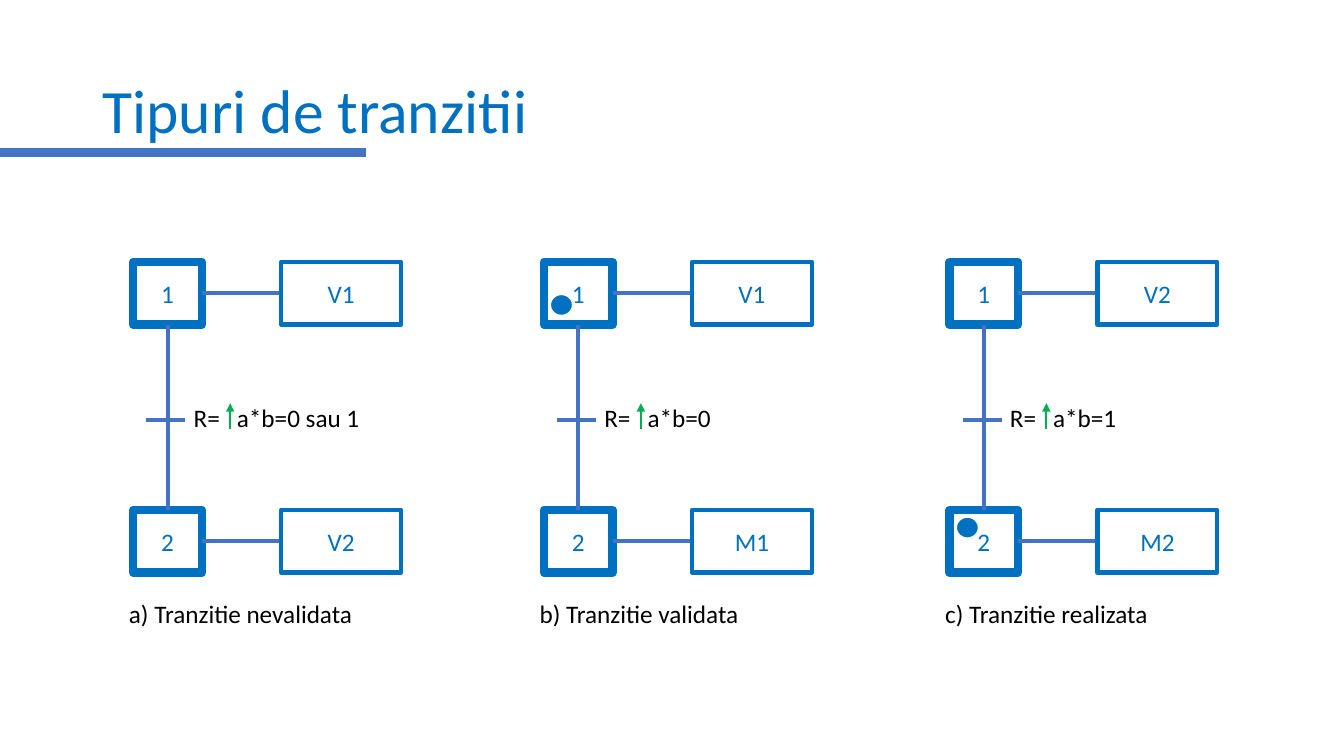
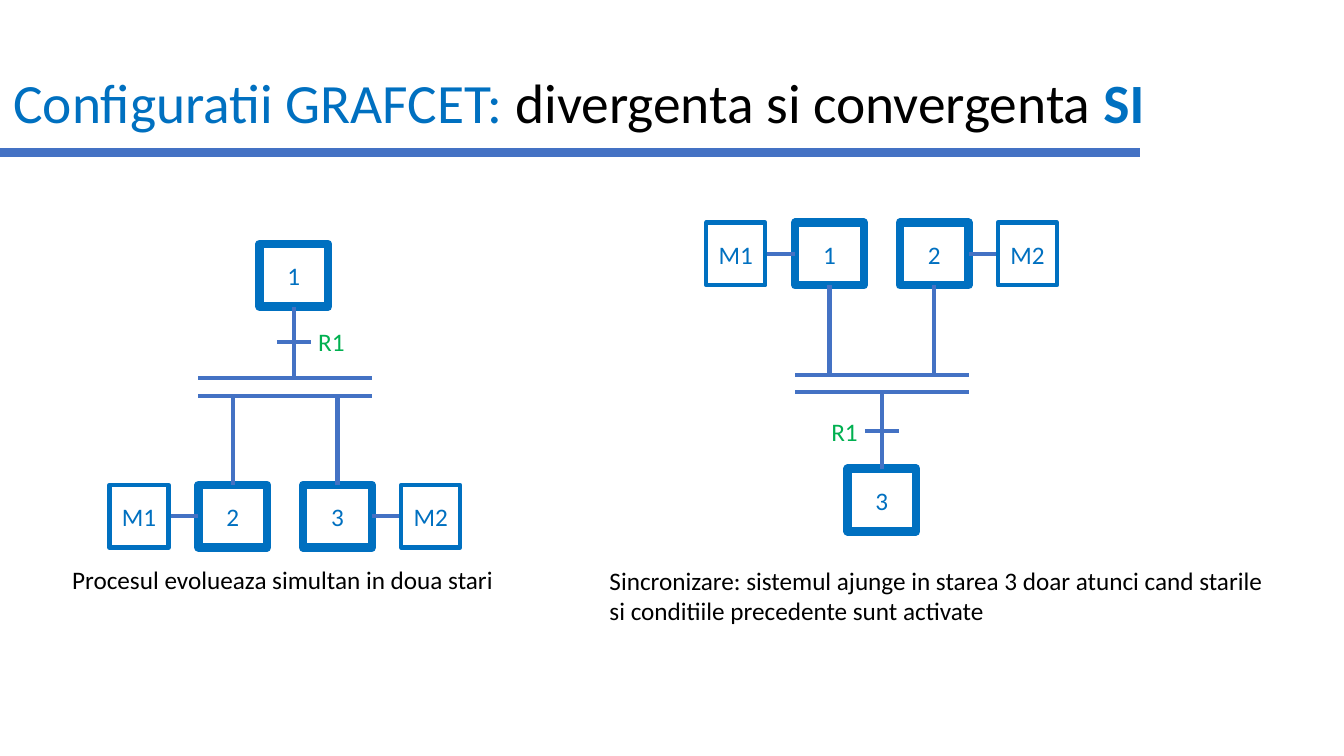
from lxml import etree
from pptx import Presentation
from pptx.dml.color import RGBColor
from pptx.enum import shapes, text
from pptx.oxml import ns
from pptx.util import Cm, Pt

BLUE = RGBColor(0x00, 0x70, 0xC0)
LINK = RGBColor(0x44, 0x72, 0xC4)
GREEN = RGBColor(0x00, 0xB0, 0x50)
BLACK = RGBColor(0, 0, 0)
WHITE = RGBColor(255, 255, 255)
FONT = "Calibri"
TITLE_ONLY = 5
STEP_W, BOX_H = 1.73, 1.58
RULE_Y = 3.84


class Grafcet:
    """Style and current slide for GRAFCET diagrams, in centimetres."""

    def __init__(self, prs):
        """Keep the presentation that receives the slides."""
        self.prs = prs
        self.s = None

    def add_text(self, p, content, color=BLUE, size=18, bold=False):
        """Add one formatted run to a paragraph."""
        r = p.add_run()
        r.text = content
        r.font.name, r.font.size, r.font.bold = FONT, Pt(size), bold
        r.font.color.rgb = color

    def header(self, runs, size, box, rule_end):
        """Start a slide with its title and the rule below it."""
        self.s = self.prs.slides.add_slide(self.prs.slide_layouts[TITLE_ONLY])
        sp = self.s.shapes.title
        sp.left, sp.top, sp.width, sp.height = map(Cm, box)
        tf = sp.text_frame
        tf.auto_size = text.MSO_AUTO_SIZE.NONE
        tf.vertical_anchor = text.MSO_ANCHOR.MIDDLE
        p = tf.paragraphs[0]
        p.alignment, p.line_spacing = text.PP_ALIGN.LEFT, 0.9
        for content, color, bold in runs:
            self.add_text(p, content, color, size, bold)
        self.line(0, RULE_Y, rule_end, RULE_Y, width=6)

    def line(self, x1, y1, x2, y2, color=LINK, width=3, arrow=False):
        """Draw a straight line, with an optional arrowhead at its end."""
        c = self.s.shapes.add_connector(
            shapes.MSO_CONNECTOR.STRAIGHT, Cm(x1), Cm(y1), Cm(x2), Cm(y2))
        c.line.color.rgb, c.line.width = color, Pt(width)
        sp_pr = c._element.spPr
        if arrow:
            etree.SubElement(sp_pr.find(ns.qn("a:ln")), ns.qn("a:tailEnd"),
                             type="triangle")
        etree.SubElement(sp_pr, ns.qn("a:effectLst"))

    def shape(self, kind, x, y, w, h, fill, outline, width):
        """Draw a flat preset shape."""
        sp = self.s.shapes.add_shape(kind, Cm(x), Cm(y), Cm(w), Cm(h))
        sp.shadow.inherit = False
        sp.fill.solid()
        sp.fill.fore_color.rgb = fill
        sp.line.color.rgb, sp.line.width = outline, Pt(width)
        return sp

    def box(self, x, y, w, name, width=3):
        """Draw a white box with a centred name."""
        sp = self.shape(shapes.MSO_SHAPE.RECTANGLE, x, y, w, BOX_H,
                        WHITE, BLUE, width)
        sp.text_frame.vertical_anchor = text.MSO_ANCHOR.MIDDLE
        p = sp.text_frame.paragraphs[0]
        p.alignment = text.PP_ALIGN.CENTER
        self.add_text(p, name)

    def step(self, x, y, name):
        """Draw a step, a box with a heavy outline."""
        self.box(x, y, STEP_W, name, width=6)

    def token(self, x, y):
        """Draw the dot that marks an active step."""
        self.shape(shapes.MSO_SHAPE.OVAL, x, y, 0.56, 0.53, BLUE, WHITE, 1)

    def label(self, x, y, w, lines, color=BLACK, wrap=True, tab=None):
        """Add a text box, one paragraph a line."""
        sp = self.s.shapes.add_textbox(Cm(x), Cm(y), Cm(w),
                                       Cm(0.25 + 0.77 * len(lines)))
        tf = sp.text_frame
        tf.word_wrap = wrap
        tf.auto_size = text.MSO_AUTO_SIZE.SHAPE_TO_FIT_TEXT
        for i, content in enumerate(lines):
            p = tf.add_paragraph() if i else tf.paragraphs[0]
            self.add_text(p, content, color)
            if tab:
                tabs = etree.SubElement(p._p.get_or_add_pPr(),
                                        ns.qn("a:tabLst"))
                etree.SubElement(tabs, ns.qn("a:tab"), pos=str(Cm(tab)),
                                 algn="l")

    def transition(self, x, actions, condition, caption, caption_w):
        """Draw two steps with actions, joined by a transition."""
        top, bottom = 6.6, 12.85
        for y, name, action in zip((top, bottom), "12", actions):
            self.step(x, y, name)
            self.line(x + STEP_W, y + BOX_H / 2, x + 3.73, y + BOX_H / 2)
            self.box(x + 3.73, y, 3.02, action)
        mid = x + STEP_W / 2
        self.line(mid, top + BOX_H, mid, bottom)
        self.line(x + 0.33, 10.59, x + 1.31, 10.59)
        self.label(x + 1.27, 10.01, 5.03, ["R=\t" + condition], tab=1.09)
        self.line(x + 2.44, 10.82, x + 2.44, 10.16, GREEN, 1.5, arrow=True)
        self.label(x - 0.36, 14.96, caption_w, [caption], wrap=False)

    def parallel(self, x, y, names, bars, near):
        """Draw two parallel steps, their actions and the double bar."""
        pitch, action_w = 2.64, 1.49
        mid = y + BOX_H / 2
        edge = y if near < y else y + BOX_H
        columns = ((x, x, x - 2.24 + action_w, x - 2.24),
                   (x + pitch, x + pitch + STEP_W, x + 5.11, x + 5.11))
        for (left, side, end, action_x), name, action in zip(
                columns, names, ("M1", "M2")):
            self.step(left, y, name)
            self.line(side, mid, end, mid)
            self.box(action_x, y, action_w, action)
            self.line(left + STEP_W / 2, near, left + STEP_W / 2, edge)
        for bar in bars:
            self.line(x, bar, x + pitch + STEP_W, bar)

    def single(self, x, y, name, bar, tick_y, label_x, label_y):
        """Draw the lone step and its transition to the double bar."""
        mid = x + STEP_W / 2
        self.step(x, y, name)
        self.line(mid, bar, mid, y if bar < y else y + BOX_H)
        self.line(mid - 0.43, tick_y, mid + 0.43, tick_y)
        self.label(label_x, label_y, 1.26, ["R1"], GREEN)


def transitions_slide(g):
    """Build the slide of the three kinds of transition."""
    g.header([("Tipuri de tranzitii", BLUE, False)], 44,
             (2.33, 1.01, 29.21, 3.68), 9.22)
    for x, *parts in (
            (3.36, ("V1", "V2"), "a*b=0 sau 1", "a) Tranzitie nevalidata", 6.2),
            (13.71, ("V1", "M1"), "a*b=0", "b) Tranzitie validata", 5.59),
            (23.93, ("V2", "M2"), "a*b=1", "c) Tranzitie realizata", 5.69)):
        g.transition(x, *parts)
    g.token(13.87, 7.42)
    g.token(24.1, 13.03)


def parallel_slide(g):
    """Build the slide of AND divergence and convergence."""
    g.header([("Configuratii GRAFCET: ", BLUE, False),
              ("divergenta si convergenta ", BLACK, False),
              ("SI", BLUE, True)], 39.6, (0.08, 1.9, 29.21, 1.53), 28.73)
    g.parallel(5, 12.22, "23", (9.53, 9.98), near=9.98)
    g.single(6.54, 6.15, "1", 9.53, 8.61, 7.77, 8.1)
    g.label(1.57, 14.1, 11.23, ["Procesul evolueaza simultan in doua stari"],
            wrap=False)
    g.parallel(20.04, 5.61, "12", (9.45, 9.88), near=9.45)
    g.single(21.36, 11.81, "3", 9.88, 10.87, 20.7, 10.36)
    g.label(15.11, 14.12, 17.32,
            ["Sincronizare: sistemul ajunge in starea 3 doar atunci cand starile",
             "si conditiile precedente sunt activate"], wrap=False)


prs = Presentation()
prs.slide_width, prs.slide_height = Cm(33.87), Cm(19.05)
grafcet = Grafcet(prs)
transitions_slide(grafcet)
parallel_slide(grafcet)
prs.save("out.pptx")
